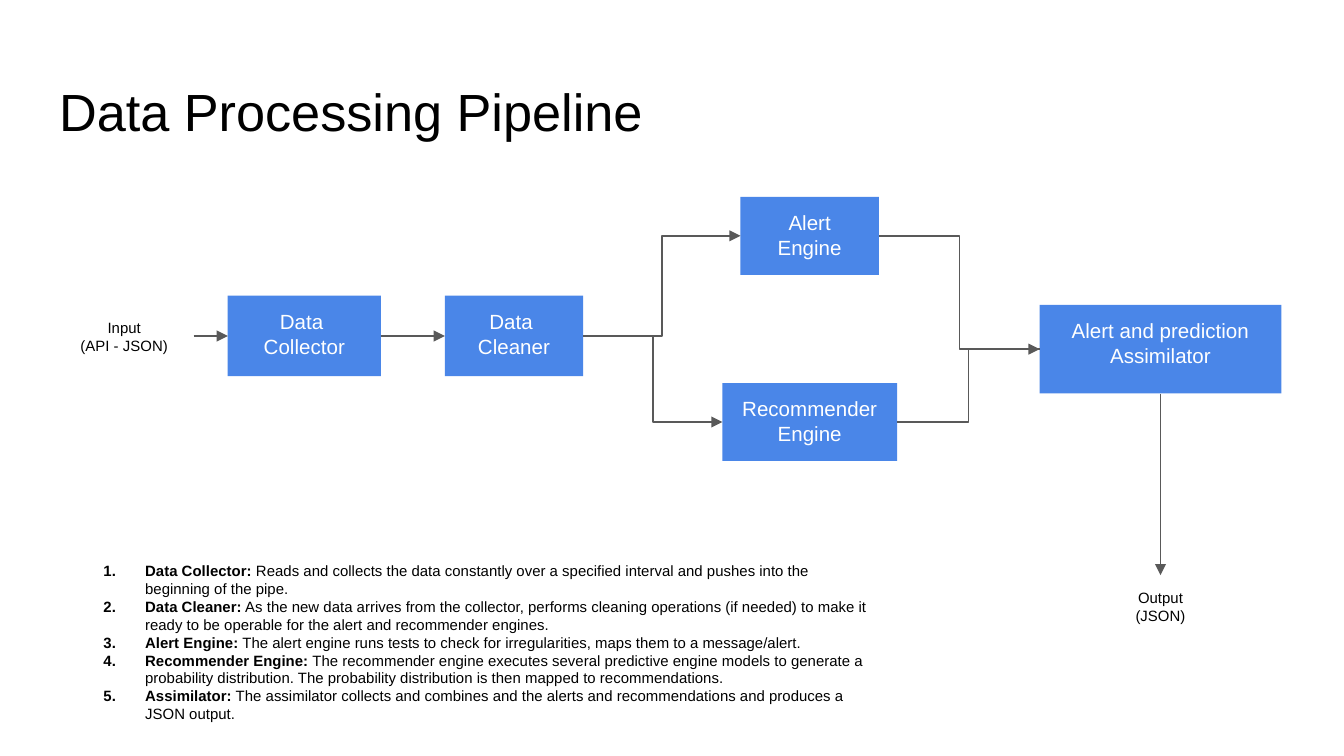
from lxml.etree import SubElement
from pptx import Presentation
from pptx.dml.color import RGBColor
from pptx.enum.shapes import MSO_CONNECTOR, MSO_SHAPE
from pptx.enum.text import MSO_ANCHOR, MSO_AUTO_SIZE, PP_ALIGN
from pptx.oxml.ns import qn
from pptx.util import Inches, Pt

COLS = 100
ROWS = COLS * 9 / 16
BLACK, WHITE, BLUE, GREY = "000000", "FFFFFF", "4A86E8", "595959"
TOP, LEFT, BOTTOM, RIGHT = range(4)

NODES = {
    "input": (["Input", "(API - JSON)"], 0, 10.4, 10.3, 4.6),
    "collector": (["Data ", "Collector"], 12.85, 10.4, 11.4, 6),
    "cleaner": (["Data ", "Cleaner"], 29, 10.4, 10.3, 6),
    "alert": (["Alert", "Engine"], 51, 2.95, 10.3, 5.8),
    "recommender": (["Recommender", "Engine"], 49.65, 16.8, 13, 5.8),
    "assimilator": (["Alert and prediction", "Assimilator"], 73.25, 11.38, 18, 6.6),
    "output": (["Output", "(JSON)"], 77.1, 30.5, 10.3, 4.6),
}
LABELS = ("input", "output")
FLOWS = [
    ("input", RIGHT, "collector", LEFT, True),
    ("collector", RIGHT, "cleaner", LEFT, True),
    ("cleaner", RIGHT, "alert", LEFT, True),
    ("cleaner", RIGHT, "recommender", LEFT, True),
    ("alert", RIGHT, "assimilator", LEFT, False),
    ("recommender", RIGHT, "assimilator", LEFT, True),
    ("assimilator", BOTTOM, "output", TOP, True),
]
STEPS = [
    ("Data Collector:", " Reads and collects the data constantly over a specified interval "
     "and pushes into the beginning of the pipe."),
    ("Data Cleaner:", " As the new data arrives from the collector, performs cleaning operations "
     "(if needed) to make it ready to be operable for the alert and recommender engines."),
    ("Alert Engine:", " The alert engine runs tests to check for irregularities, "
     "maps them to a message/alert."),
    ("Recommender Engine:", " The recommender engine executes several predictive engine models to "
     "generate a probability distribution. The probability distribution is then mapped to "
     "recommendations."),
    ("Assimilator:", " The assimilator collects and combines and the alerts and recommendations "
     "and produces a JSON output."),
]

prs = Presentation()
prs.slide_width = Inches(10)
prs.slide_height = prs.slide_width * 9 // 16


def color(hex_text):
    return RGBColor.from_string(hex_text)


def grid(col, row, width, height):
    cw, rh = prs.slide_width / COLS, prs.slide_height / ROWS
    return round(col * cw), round(row * rh), round(width * cw), round(height * rh)


def place(sp, box):
    sp.left, sp.top, sp.width, sp.height = grid(*box)


def write(sp, paragraphs, size, fill=BLACK, align=PP_ALIGN.LEFT, anchor=MSO_ANCHOR.TOP):
    tf = sp.text_frame
    tf.word_wrap, tf.auto_size, tf.vertical_anchor = True, MSO_AUTO_SIZE.NONE, anchor
    tf.margin_left = tf.margin_right = tf.margin_top = tf.margin_bottom = Inches(0.1)
    for i, runs in enumerate(paragraphs):
        p = tf.add_paragraph() if i else tf.paragraphs[0]
        p.alignment = align
        p.space_before = p.space_after = Pt(0)
        for text, bold in runs:
            r = p.add_run()
            r.text = text
            r.font.name, r.font.size, r.font.bold = "Arial", Pt(size), bold
            r.font.color.rgb = color(fill)
    return tf


def number(p, indent, hanging):
    pPr = p._p.get_or_add_pPr()
    pPr.set("marL", str(Inches(indent)))
    pPr.set("indent", str(-Inches(hanging)))
    clr = SubElement(pPr, qn("a:buClr"))
    SubElement(clr, qn("a:srgbClr"), val=BLACK)
    SubElement(pPr, qn("a:buFont"), typeface="Arial")
    SubElement(pPr, qn("a:buAutoNum"), type="arabicPeriod")


def add_node(s, name, box):
    lines, col, mid, width, height = NODES[name]
    at = grid(box[0] + col, box[1] + mid - height / 2, width, height)
    if name in LABELS:
        sp, size, ink = s.shapes.add_textbox(*at), 8, BLACK
    else:
        sp, size, ink = s.shapes.add_shape(MSO_SHAPE.RECTANGLE, *at), 11, WHITE
        sp.shadow.inherit = False
        sp.fill.solid()
        sp.fill.fore_color.rgb = color(BLUE)
        sp.line.fill.background()
    write(sp, [[(line, False)] for line in lines], size, ink, PP_ALIGN.CENTER)
    return sp


def add_flow(s, start, start_side, end, end_side, arrow):
    level = abs(start.top + start.height / 2 - end.top - end.height / 2) < Inches(0.02)
    straight = level or start_side == BOTTOM
    kind = MSO_CONNECTOR.STRAIGHT if straight else MSO_CONNECTOR.ELBOW
    line = s.shapes.add_connector(kind, 0, 0, 0, 0)
    line.begin_connect(start, start_side)
    line.end_connect(end, end_side)
    line.line.color.rgb = color(GREY)
    line.line.width = Pt(0.75)
    if arrow:
        SubElement(line.line._get_or_add_ln(), qn("a:tailEnd"), type="triangle")
    SubElement(line._element.spPr, qn("a:effectLst"))


def add_title(s, box):
    sp = s.shapes.title
    place(sp, box)
    write(sp, [[("Data Processing Pipeline", False)]], 28)


def add_pipeline(s, box):
    nodes = {name: add_node(s, name, box) for name in NODES}
    for start, start_side, end, end_side, arrow in FLOWS:
        add_flow(s, nodes[start], start_side, nodes[end], end_side, arrow)


def add_steps(s, box):
    sp = s.placeholders[1]
    place(sp, box)
    tf = write(sp, [[(name, True), (text, False)] for name, text in STEPS], 8)
    for p in tf.paragraphs:
        number(p, 0.5, 0.31)


def main():
    s = prs.slides.add_slide(prs.slide_layouts[1])
    add_title(s, (3.4, 4.9, 93.2, 6.3))
    add_pipeline(s, (4.1, 14.6))
    add_steps(s, (4.8, 40.8, 61, 14.2))
    prs.save("out.pptx")


if __name__ == "__main__":
    main()
